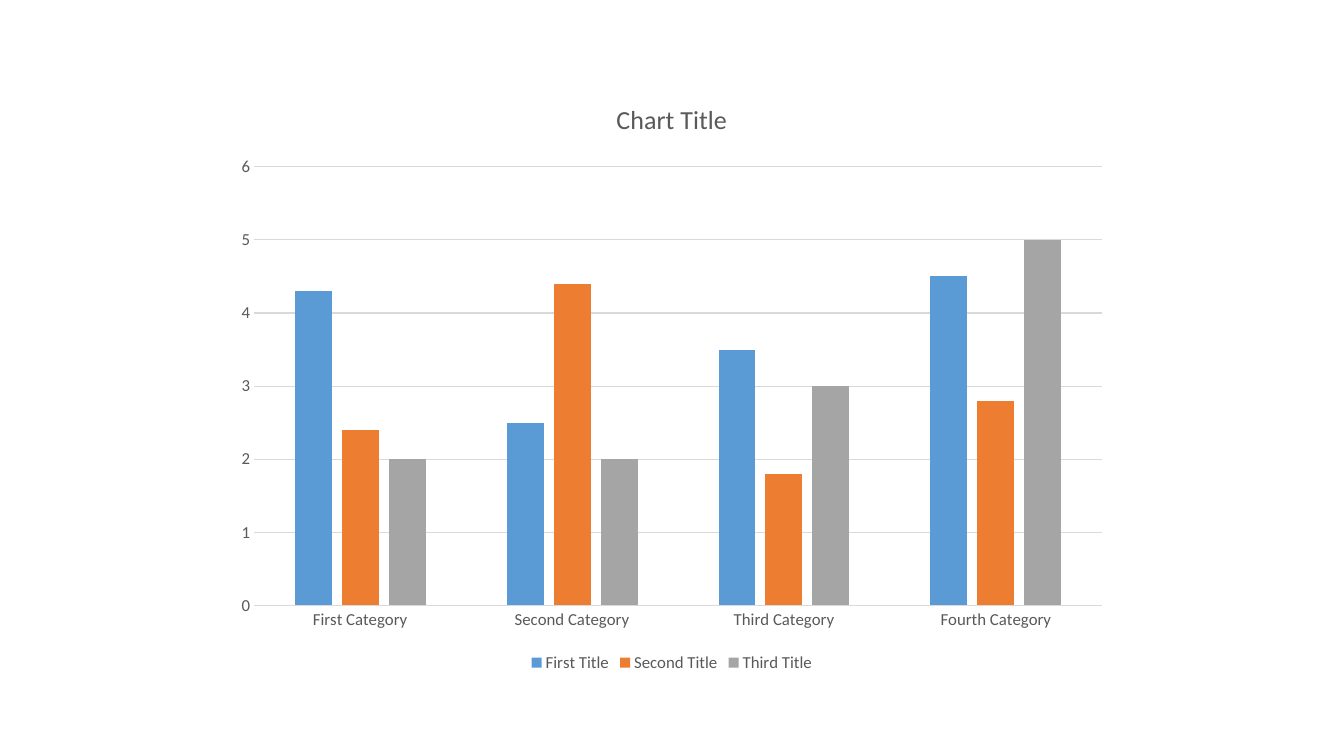
from pptx import Presentation
from pptx.chart.data import CategoryChartData
from pptx.dml.color import RGBColor
from pptx.enum.chart import XL_CHART_TYPE as ChartType
from pptx.enum.chart import XL_LEGEND_POSITION as LegendPos
from pptx.enum.chart import XL_TICK_MARK as Tick
from pptx.util import Cm, Pt

COLORS = {
    "text": "595959",
    "line": "D9D9D9",
    "First Title": "5B9BD5",
    "Second Title": "ED7D31",
    "Third Title": "A5A5A5",
}
CATEGORIES = ["First Category", "Second Category", "Third Category", "Fourth Category"]
SERIES = {
    "First Title": (4.3, 2.5, 3.5, 4.5),
    "Second Title": (2.4, 4.4, 1.8, 2.8),
    "Third Title": (2, 2, 3, 5),
}


def rgb(name):
    """Return the named palette colour."""
    return RGBColor.from_string(COLORS[name])


def format_font(font, size=12, color="text", name="Calibri", bold=False):
    """Set the look of a font."""
    font.size = Pt(size)
    font.name = name
    font.bold = bold
    font.color.rgb = rgb(color)


def write_text(tf, text, **fmt):
    """Write one formatted run into a text frame."""
    r = tf.paragraphs[0].add_run()
    r.text = text
    format_font(r.font, **fmt)


def format_line(line, color="line", width=0.75):
    """Set the colour and width of a line."""
    line.color.rgb = rgb(color)
    line.width = Pt(width)


def format_axes(chart):
    """Style the category axis, the value axis and the gridlines."""
    cat, val = chart.category_axis, chart.value_axis
    for axis in (cat, val):
        axis.major_tick_mark = axis.minor_tick_mark = Tick.NONE
        format_font(axis.tick_labels.font)
    format_line(cat.format.line)
    val.format.line.fill.background()
    val.minimum_scale, val.maximum_scale, val.major_unit = 0, 6, 1
    val.has_major_gridlines = True
    format_line(val.major_gridlines.format.line)


def format_legend(chart):
    """Place the legend below the plot."""
    chart.has_legend = True
    chart.legend.position = LegendPos.BOTTOM
    chart.legend.include_in_layout = False
    format_font(chart.legend.font)


def add_column_chart(slide, title, left, top, width, height):
    """Add the titled clustered column chart."""
    data = CategoryChartData()
    data.categories = CATEGORIES
    for name, values in SERIES.items():
        data.add_series(name, values)
    chart = slide.shapes.add_chart(
        ChartType.COLUMN_CLUSTERED, left, top, width, height, data
    ).chart
    format_font(chart.font)
    chart.has_title = True
    write_text(chart.chart_title.text_frame, title, size=18.6)
    chart.chart_title.include_in_layout = False
    format_axes(chart)
    format_legend(chart)
    plot = chart.plots[0]
    plot.gap_width, plot.overlap = 219, -27
    plot.vary_by_categories = False
    for series in plot.series:
        series.format.fill.solid()
        series.format.fill.fore_color.rgb = rgb(series.name)
        series.invert_if_negative = False


def main():
    """Build the slide and save it."""
    prs = Presentation()
    prs.slide_width, prs.slide_height = Cm(33.87), Cm(19.05)
    slide = prs.slides.add_slide(prs.slide_layouts[6])
    add_column_chart(slide, "Chart Title", Cm(5.64), Cm(2), Cm(22.58), Cm(15.05))
    prs.save("out.pptx")


if __name__ == "__main__":
    main()
